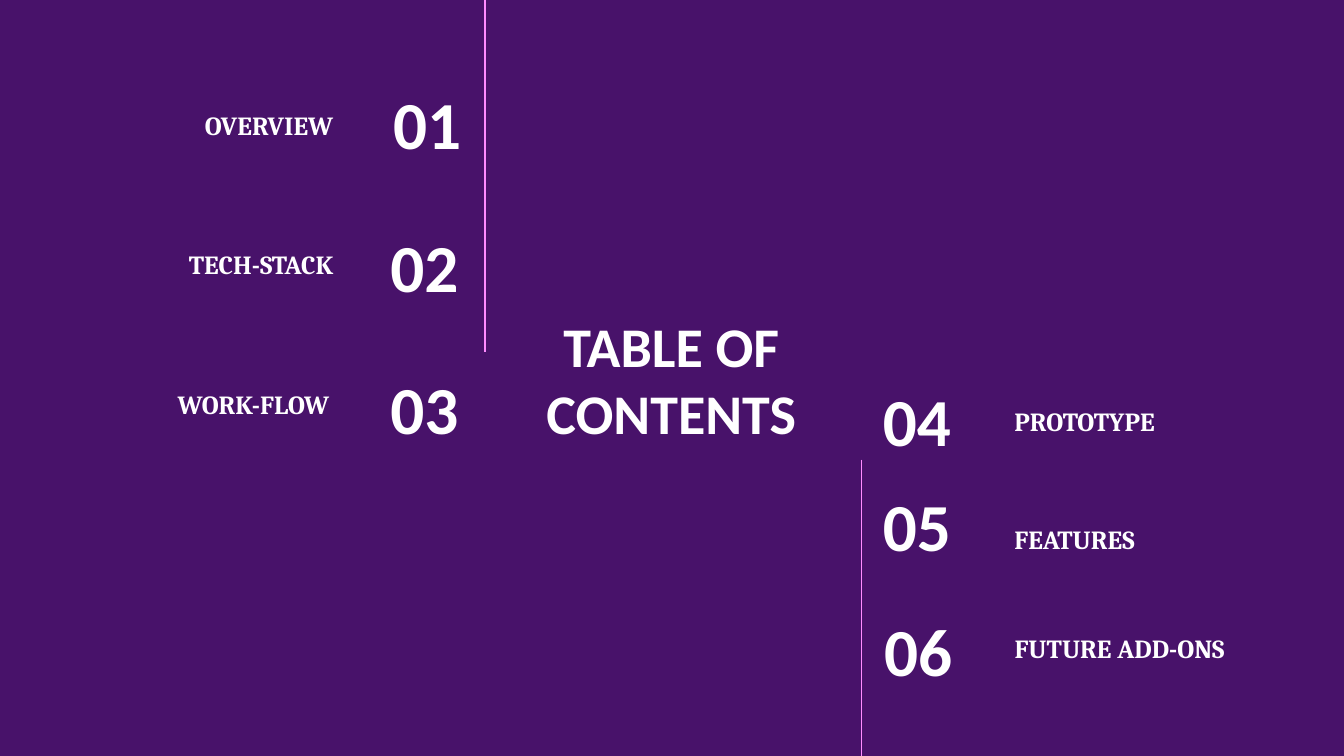
"""Build a table-of-contents slide with two columns of numbered sections."""
from lxml import etree
from pptx import Presentation
from pptx import util as u
from pptx.dml.color import RGBColor
from pptx.enum import shapes, text
from pptx.oxml.ns import qn

PURPLE = RGBColor(0x48, 0x12, 0x6A)
PINK = RGBColor(0xFF, 0x8C, 0xFF)
WHITE = RGBColor(0xFF, 0xFF, 0xFF)
LEFT, CENTER, RIGHT = text.PP_ALIGN.LEFT, text.PP_ALIGN.CENTER, text.PP_ALIGN.RIGHT
MIDDLE, BOTTOM = text.MSO_ANCHOR.MIDDLE, text.MSO_ANCHOR.BOTTOM

WIDTH = 10
HEIGHT = WIDTH * 9 / 16
NUMBER_HEIGHT = 0.63

TITLE = "TABLE OF CONTENTS"
COLUMNS = [
    {"align": RIGHT, "label_left": 0.98, "sections": [
        {"number": ("01", 2.32, 0.6, 1.21), "label": ("OVERVIEW", 0.67, 1.6, 0.48)},
        {"number": ("02", 2.3, 1.66, 1.21), "label": ("TECH-STACK", 1.76, 1.6, 0.42)},
        {"number": ("03", 2.3, 2.72, 1.21), "label": ("WORK-FLOW", 2.8, 1.57, 0.42)},
    ]},
    {"align": LEFT, "label_left": 7.45, "sections": [
        {"number": ("04", 6.47, 2.81, 0.91), "label": ("PROTOTYPE", 2.87, 1.47, 0.48)},
        {"number": ("05", 6.47, 3.59, 0.91), "label": ("FEATURES", 3.75, 1.27, 0.48)},
        {"number": ("06", 6.48, 4.52, 1.17), "label": ("FUTURE ADD-ONS", 4.62, 2.28, 0.42)},
    ]},
]
RULES = [(3.61, 0, 2.62), (6.41, 3.42, 5.64)]


def write(box, words, *, at, size, font="Calibri", align=LEFT, anchor=MIDDLE):
    box.left, box.top, box.width, box.height = map(u.Inches, at)
    frame = box.text_frame
    frame.word_wrap = True
    frame.auto_size = text.MSO_AUTO_SIZE.NONE
    frame.vertical_anchor = anchor
    frame.margin_left = frame.margin_right = u.Inches(0.1)
    frame.margin_top = frame.margin_bottom = u.Inches(0.1)
    para = frame.paragraphs[0]
    para.alignment = align
    span = para.add_run()
    span.text = words
    span.font.name, span.font.size, span.font.bold = font, u.Pt(size), True
    span.font.color.rgb = WHITE


def add_text(page, words, **style):
    write(page.shapes.add_textbox(0, 0, 0, 0), words, **style)


def add_rule(page, x, top, bottom):
    rule = page.shapes.add_connector(
        shapes.MSO_CONNECTOR.STRAIGHT, *map(u.Inches, (x, top, x, bottom)))
    rule.line.color.rgb = PINK
    rule.line.width = u.Pt(0.75)
    etree.SubElement(rule.element.spPr, qn("a:effectLst"))


def add_column(page, align, label_left, sections):
    for section in sections:
        number, left, top, width = section["number"]
        add_text(page, number, at=(left, top, width, NUMBER_HEIGHT), size=36, align=align)
        label, top, width, height = section["label"]
        add_text(page, label, at=(label_left, top, width, height), size=14,
                 font="Cambria", align=align, anchor=BOTTOM)


def main():
    deck = Presentation()
    deck.slide_width, deck.slide_height = u.Inches(WIDTH), u.Inches(HEIGHT)
    page = deck.slides.add_slide(deck.slide_layouts[5])
    page.background.fill.solid()
    page.background.fill.fore_color.rgb = PURPLE
    write(page.shapes.title, TITLE, at=(3.7, 2.3, 2.59, 1.03), size=30, align=CENTER)
    for rule in RULES:
        add_rule(page, *rule)
    for column in COLUMNS:
        add_column(page, **column)
    deck.save("out.pptx")


if __name__ == "__main__":
    main()
